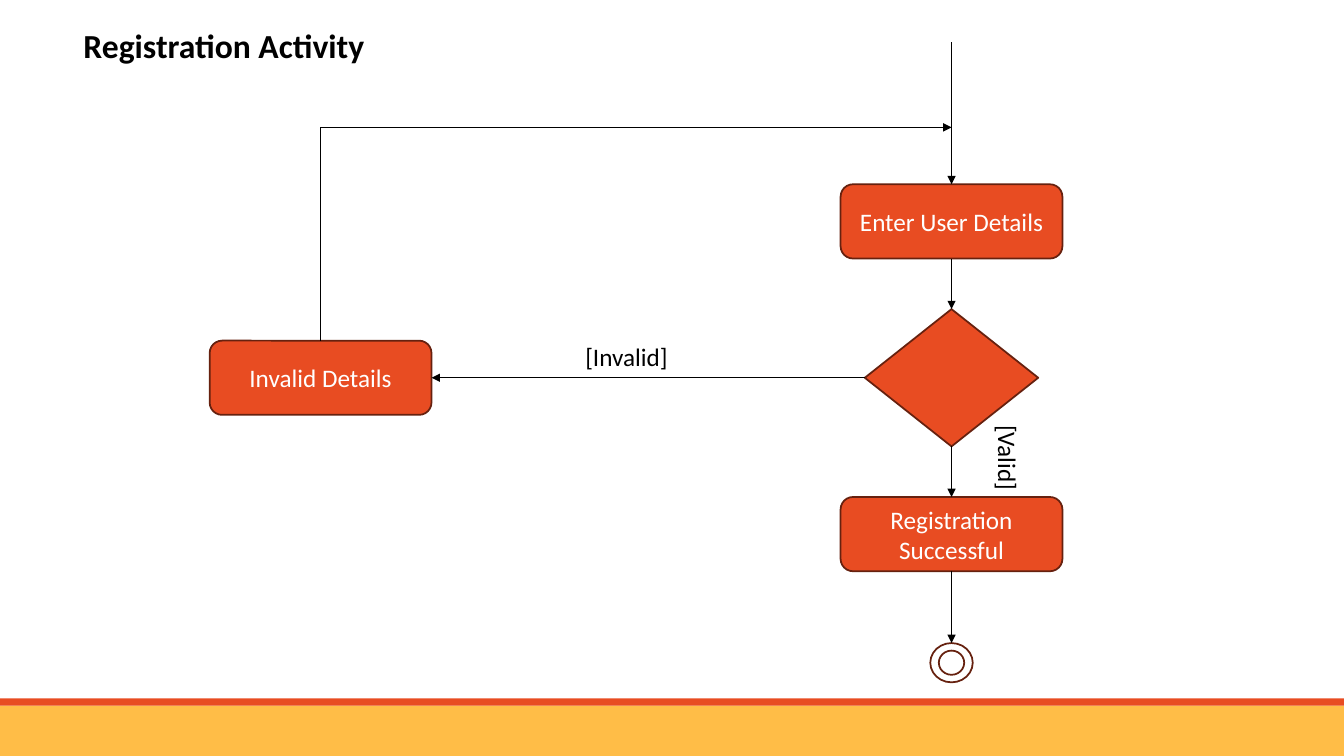
from lxml import etree
from pptx import Presentation
from pptx.dml.color import RGBColor
from pptx.enum.shapes import MSO_CONNECTOR, MSO_SHAPE
from pptx.enum.text import MSO_ANCHOR, MSO_AUTO_SIZE, PP_ALIGN
from pptx.oxml.ns import qn
from pptx.util import Cm, Pt

STRAIGHT = MSO_CONNECTOR.STRAIGHT
RECT, ROUNDED = MSO_SHAPE.RECTANGLE, MSO_SHAPE.ROUNDED_RECTANGLE
DIAMOND, OVAL = MSO_SHAPE.DIAMOND, MSO_SHAPE.OVAL
TOP, MIDDLE = MSO_ANCHOR.TOP, MSO_ANCHOR.MIDDLE
LEFT, CENTER = PP_ALIGN.LEFT, PP_ALIGN.CENTER
NO_FIT = MSO_AUTO_SIZE.NONE

COLORS = {"accent": "E84C22", "outline": "66210F", "band": "FFBD47",
          "ink": "000000", "paper": "FFFFFF"}
SLIDE_W, SLIDE_H = 33.87, 19.05
MAIN_X, RETRY_X = 23.98, 8.08  # centre lines of the two columns
DECISION_Y, STEP_GAP = 9.52, 3.94
LOOP_Y = 3.21
SITE_TOP, SITE_LEFT, SITE_BOTTOM, SITE_RIGHT = range(4)


def color(name):
    return RGBColor.from_string(COLORS[name])


def write(shape, text, size=18, ink="ink", bold=False, align=LEFT, anchor=TOP):
    frame = shape.text_frame
    frame.word_wrap = True
    frame.auto_size = NO_FIT
    frame.vertical_anchor = anchor
    frame.text = text
    paragraph = frame.paragraphs[0]
    paragraph.alignment = align
    font = paragraph.runs[0].font
    font.name, font.size, font.bold = "Calibri", Pt(size), bold
    font.color.rgb = color(ink)


class ActivityDiagram:
    outline_width = Pt(1.25)
    flow_width = Pt(1)

    def __init__(self, slide):
        self.slide = slide
        self.shapes = slide.shapes

    def title(self, text, left, top, width, height):
        heading = self.shapes.title
        heading.left, heading.top = Cm(left), Cm(top)
        heading.width, heading.height = Cm(width), Cm(height)
        write(heading, text, size=24, bold=True)

    def node(self, kind, x, y, width, height, fill="accent", outline="outline"):
        """Add a shape centred on (x, y); fill or outline may be None."""
        shape = self.shapes.add_shape(kind, Cm(x - width / 2), Cm(y - height / 2),
                                      Cm(width), Cm(height))
        shape.shadow.inherit = False
        if fill:
            shape.fill.solid()
            shape.fill.fore_color.rgb = color(fill)
        else:
            shape.fill.background()
        if outline:
            shape.line.color.rgb = color(outline)
            shape.line.width = self.outline_width
        else:
            shape.line.fill.background()
        return shape

    def band(self, top, height, fill):
        self.node(RECT, SLIDE_W / 2, top + height / 2, SLIDE_W, height, fill, None)

    def step(self, text, x, y):
        box = self.node(ROUNDED, x, y, 5.59, 1.87)
        write(box, text, ink="paper", align=CENTER, anchor=MIDDLE)
        return box

    def label(self, text, x, y, width, rotation=0):
        height = 1.03
        box = self.shapes.add_textbox(Cm(x - width / 2), Cm(y - height / 2),
                                      Cm(width), Cm(height))
        box.rotation = rotation
        write(box, text)

    def flow(self, start, end, arrow=True):
        """Join two ends, each an (x, y) point or a (shape, site) pair."""
        line = self.shapes.add_connector(STRAIGHT, 0, 0, 0, 0)
        if hasattr(start[0], "shape_id"):
            line.begin_connect(*start)
        else:
            line.begin_x, line.begin_y = map(Cm, start)
        if hasattr(end[0], "shape_id"):
            line.end_connect(*end)
        else:
            line.end_x, line.end_y = map(Cm, end)
        line.line.color.rgb = color("ink")
        line.line.width = self.flow_width
        properties = line._element.spPr
        if arrow:
            etree.SubElement(properties.find(qn("a:ln")), qn("a:tailEnd"), type="triangle")
        etree.SubElement(properties, qn("a:effectLst"))


def main():
    deck = Presentation()
    deck.slide_width, deck.slide_height = Cm(SLIDE_W), Cm(SLIDE_H)
    diagram = ActivityDiagram(deck.slides.add_slide(deck.slide_layouts[5]))

    diagram.band(17.78, 1.27, "band")
    diagram.band(17.6, 0.18, "accent")
    diagram.title("Registration Activity", 1.85, 0.5, 29.62, 1.4)

    enter = diagram.step("Enter User Details", MAIN_X, DECISION_Y - STEP_GAP)
    invalid = diagram.step("Invalid Details", RETRY_X, DECISION_Y)
    success = diagram.step("Registration Successful", MAIN_X, DECISION_Y + STEP_GAP)
    decision = diagram.node(DIAMOND, MAIN_X, DECISION_Y, 4.37, 3.46)
    diagram.node(OVAL, MAIN_X, 16.7, 0.64, 0.61, fill=None)
    finish = diagram.node(OVAL, MAIN_X, 16.7, 1.07, 0.99, fill=None)

    diagram.flow((MAIN_X, 1.07), (enter, SITE_TOP))
    for upper, lower in ((enter, decision), (decision, success), (success, finish)):
        diagram.flow((upper, SITE_BOTTOM), (lower, SITE_TOP))
    diagram.flow((decision, SITE_LEFT), (invalid, SITE_RIGHT))
    diagram.flow((invalid, SITE_TOP), (RETRY_X, LOOP_Y), arrow=False)
    diagram.flow((RETRY_X, LOOP_Y), (MAIN_X, LOOP_Y))

    diagram.label("[Invalid]", 15.96, 8.99, 2.92)
    diagram.label("[Valid]", 25.4, 11.66, 2.39, rotation=90)

    deck.save("out.pptx")


if __name__ == "__main__":
    main()
